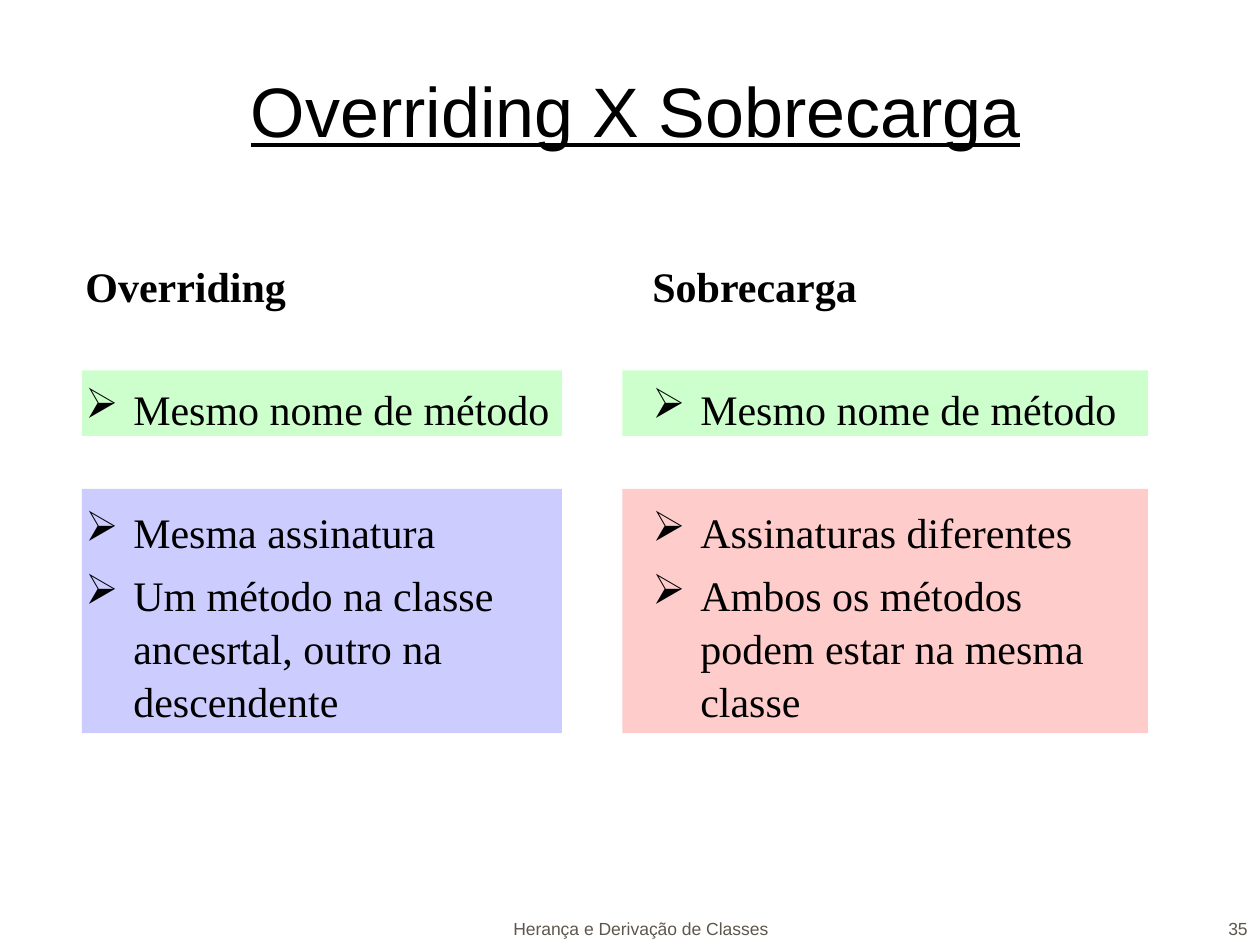
from dataclasses import dataclass

from lxml.etree import SubElement
from pptx import Presentation
from pptx.dml.color import RGBColor
from pptx.enum.shapes import MSO_SHAPE
from pptx.enum.text import MSO_ANCHOR, PP_ALIGN
from pptx.oxml.ns import qn
from pptx.util import Inches, Pt

BLACK = RGBColor(0x00, 0x00, 0x00)
GRAY = RGBColor(0x5E, 0x57, 0x4E)
GREEN = RGBColor(0xCC, 0xFF, 0xCC)
BLUE = RGBColor(0xCC, 0xCC, 0xFF)
PINK = RGBColor(0xFF, 0xCC, 0xCC)

SHARED_TOP, SHARED_HEIGHT = 2.94, 0.52
DETAIL_TOP, DETAIL_HEIGHT = 3.88, 1.94
ITEM_GAP, GROUP_GAP = 6, 40


@dataclass(frozen=True)
class Column:
    panel_left: float
    panel_width: float
    text_left: float
    text_width: float
    detail_color: RGBColor
    heading: str
    shared: str
    details: tuple[str, ...]


COLUMNS = (
    Column(0.65, 3.81, 0.58, 4.17, BLUE, "Overriding", "Mesmo nome de método",
           ("Mesma assinatura", "Um método na classe ancesrtal, outro na descendente")),
    Column(4.94, 4.17, 5.08, 3.96, PINK, "Sobrecarga", "Mesmo nome de método",
           ("Assinaturas diferentes", "Ambos os métodos podem estar na mesma classe")),
)


def add_panel(page, left: float, top: float, width: float, height: float, color: RGBColor) -> None:
    panel = page.shapes.add_shape(MSO_SHAPE.RECTANGLE, Inches(left), Inches(top),
                                  Inches(width), Inches(height))
    panel.shadow.inherit = False
    panel.fill.solid()
    panel.fill.fore_color.rgb = color
    panel.line.fill.background()


def add_frame(page, left: float, top: float, width: float, height: float, anchor=MSO_ANCHOR.TOP):
    frame = page.shapes.add_textbox(Inches(left), Inches(top),
                                    Inches(width), Inches(height)).text_frame
    frame.word_wrap = True
    frame.vertical_anchor = anchor
    return frame


def write(para, text: str, *, size: float, font: str, color: RGBColor = BLACK,
          align=PP_ALIGN.LEFT, bold: bool = False, underline: bool = False) -> None:
    para.alignment = align
    span = para.add_run()
    span.text = text
    span.font.name = font
    span.font.size = Pt(size)
    span.font.bold = bold
    span.font.underline = underline
    span.font.color.rgb = color


def add_bullet(para) -> None:
    """Give the paragraph a hanging arrow bullet."""
    properties = para._p.get_or_add_pPr()
    properties.set("marL", str(Inches(0.38)))
    properties.set("indent", str(Inches(-0.38)))
    SubElement(properties, qn("a:buChar"), char="➢")


def add_column_text(page, column: Column) -> None:
    frame = add_frame(page, column.text_left, 2, column.text_width, 4.5)
    heading = frame.paragraphs[0]
    heading.line_spacing = 1.05
    write(heading, column.heading, size=24, font="Times New Roman", bold=True)
    for index, text in enumerate((column.shared, *column.details)):
        para = frame.add_paragraph()
        add_bullet(para)
        para.line_spacing = 1.05
        para.space_before = Pt(GROUP_GAP if index < 2 else ITEM_GAP)
        write(para, text, size=24, font="Times New Roman")


def main() -> None:
    deck = Presentation()
    deck.slide_width, deck.slide_height = Inches(10), Inches(7.5)
    page = deck.slides.add_slide(deck.slide_layouts[6])

    title = add_frame(page, 0.17, 0.17, 9.75, 1.08, MSO_ANCHOR.BOTTOM)
    write(title.paragraphs[0], "Overriding X Sobrecarga", size=40, font="Arial",
          align=PP_ALIGN.CENTER, underline=True)

    for column in COLUMNS:
        add_panel(page, column.panel_left, DETAIL_TOP, column.panel_width,
                  DETAIL_HEIGHT, column.detail_color)
        add_panel(page, column.panel_left, SHARED_TOP, column.panel_width, SHARED_HEIGHT, GREEN)
    for column in COLUMNS:
        add_column_text(page, column)

    for left, width, text, align in (
        (3.5, 3.17, "Herança e Derivação de Classes", PP_ALIGN.CENTER),
        (7.92, 2.08, "35", PP_ALIGN.RIGHT),
    ):
        footer = add_frame(page, left, 7, width, 0.5, MSO_ANCHOR.BOTTOM)
        write(footer.paragraphs[0], text, size=10, font="Arial", color=GRAY, align=align)

    deck.save("out.pptx")


if __name__ == "__main__":
    main()
